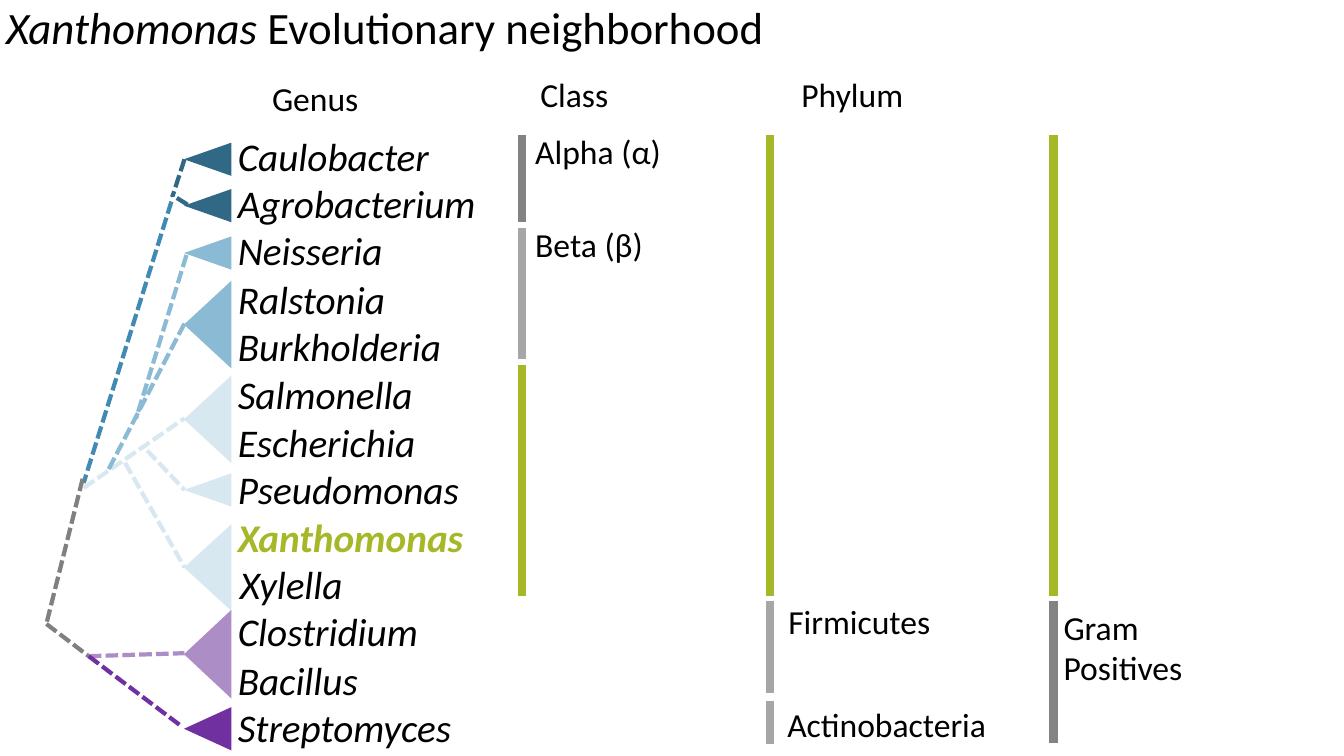
from dataclasses import dataclass

from lxml import etree
from pptx import Presentation
from pptx.dml.color import RGBColor
from pptx.enum.dml import MSO_LINE
from pptx.enum.shapes import MSO_CONNECTOR as Connector, MSO_SHAPE as Preset
from pptx.enum.text import MSO_ANCHOR as Anchor, MSO_AUTO_SIZE as AutoSize, PP_ALIGN as Align
from pptx.oxml.ns import qn
from pptx.util import Pt

EMU_PER_PX = 9144  # 100 px to the inch


@dataclass(frozen=True)
class Theme:
    font: str = "Calibri"
    title_size: int = 32
    genus_size: int = 28
    label_size: int = 24
    branch_width: int = 3
    bar_width: int = 6
    ink: str = "000000"
    highlight: str = "A6B727"
    alpha_dark: str = "316886"
    alpha: str = "418AB3"
    beta: str = "8ABAD4"
    gamma: str = "D8E8F1"
    firmicutes: str = "AD8DC5"
    actinobacteria: str = "7030A0"
    root: str = "808080"
    bar_dark: str = "838383"
    bar_light: str = "A6A6A6"


THEME = Theme()

GENERA = ["Caulobacter", "Agrobacterium", "Neisseria", "Ralstonia", "Burkholderia",
          "Salmonella", "Escherichia", "Pseudomonas", "Xanthomonas", "Xylella",
          "Clostridium", "Bacillus", "Streptomyces"]
GENUS_LEFT, GENUS_TOP, GENUS_BOTTOM = 226, 126, 693
CLADE_CENTER, CLADE_DEPTH = 206, 47

# Middle of each triangle, its span down the genus list, colour
CLADES = [
    (158, 33, THEME.alpha_dark), (204, 33, THEME.alpha_dark),
    (251, 33, THEME.beta), (322, 87, THEME.beta),
    (416, 87, THEME.gamma), (486, 33, THEME.gamma), (563, 86, THEME.gamma),
    (649, 88, THEME.firmicutes), (723, 43, THEME.actinobacteria),
]

# Start, end, colour of each dashed branch
BRANCHES = [
    ((170, 200), (83, 479), THEME.alpha),
    ((82, 475), (46, 619), THEME.root),
    ((46, 619), (88, 651), THEME.root),
    ((183, 158), (171, 195), THEME.alpha_dark),
    ((186, 203), (170, 193), THEME.alpha_dark),
    ((185, 253), (135, 415), THEME.beta),
    ((124, 459), (183, 563), THEME.gamma),
    ((83, 484), (183, 415), THEME.gamma),
    ((146, 447), (183, 486), THEME.gamma),
    ((183, 321), (107, 467), THEME.beta),
    ((88, 651), (183, 648), THEME.firmicutes),
    ((88, 651), (178, 719), THEME.actinobacteria),
]

# Column x, then top, bottom and colour of each bar in it
BAR_COLUMNS = {
    518: [(134, 220, THEME.bar_dark), (226, 356, THEME.bar_light),
          (362, 591, THEME.highlight)],
    764: [(134, 591, THEME.highlight), (596, 688, THEME.bar_light),
          (695, 738, THEME.bar_light)],
    1045: [(134, 591, THEME.highlight), (596, 737, THEME.bar_dark)],
}

# Left, top, width and lines of each heading or group label
LABELS = [
    (260, 72, 120, ["Genus"]), (526, 68, 101, ["Class"]), (785, 68, 134, ["Phylum"]),
    (521, 125, 159, ["Alpha (α)"]), (521, 217, 136, ["Beta (β)"]),
    (772, 591, 179, ["Firmicutes"]), (771, 693, 245, ["Actinobacteria"]),
    (1045, 597, 151, ["Gram", "Positives"]),
]


def px(length):
    return round(length * EMU_PER_PX)


def add_run(paragraph, text, size, color=THEME.ink, bold=False, italic=False):
    run = paragraph.add_run()
    run.text = text
    font = run.font
    font.name, font.size = THEME.font, Pt(size)
    font.bold, font.italic = bold, italic
    font.color.rgb = RGBColor.from_string(color)


def add_title(slide):
    title = slide.shapes.title
    title.left, title.top, title.width, title.height = px(-4), px(-5), px(1085), px(64)
    frame = title.text_frame
    frame.auto_size, frame.vertical_anchor = AutoSize.NONE, Anchor.TOP
    paragraph = frame.paragraphs[0]
    paragraph.alignment = Align.LEFT
    add_run(paragraph, "Xanthomonas ", THEME.title_size, italic=True)
    add_run(paragraph, "Evolutionary neighborhood", THEME.title_size)


def add_text(slide, left, top, width, height, lines, size, **style):
    frame = slide.shapes.add_textbox(px(left), px(top), px(width), px(height)).text_frame
    frame.word_wrap = True
    for index, line in enumerate(lines):
        paragraph = frame.add_paragraph() if index else frame.paragraphs[0]
        add_run(paragraph, line, size, **style)


def add_line(slide, start, end, color, width, dash=None):
    line = slide.shapes.add_connector(Connector.STRAIGHT, *map(px, start + end))
    line.line.color.rgb = RGBColor.from_string(color)
    line.line.width = Pt(width)
    if dash:
        line.line.dash_style = dash
    etree.SubElement(line._element.spPr, qn("a:effectLst"))


def add_clade(slide, middle, span, color):
    """A triangle pointing left towards the tree."""
    triangle = slide.shapes.add_shape(
        Preset.ISOSCELES_TRIANGLE, px(CLADE_CENTER - span / 2), px(middle - CLADE_DEPTH / 2),
        px(span), px(CLADE_DEPTH))
    triangle.rotation = 270
    triangle.shadow.inherit = False
    triangle.fill.solid()
    triangle.fill.fore_color.rgb = RGBColor.from_string(color)
    triangle.line.fill.background()


def add_genera(slide):
    step = (GENUS_BOTTOM - GENUS_TOP) / (len(GENERA) - 1)
    for row, genus in enumerate(GENERA):
        featured = genus == "Xanthomonas"
        left = GENUS_LEFT + (2 if genus == "Xylella" else 0)
        add_text(slide, left, round(GENUS_TOP + row * step), 285, 57, [genus],
                 THEME.genus_size, italic=True, bold=featured,
                 color=THEME.highlight if featured else THEME.ink)


def main():
    presentation = Presentation()
    presentation.slide_width, presentation.slide_height = px(1333), px(750)
    slide = presentation.slides.add_slide(presentation.slide_layouts[5])
    add_title(slide)

    # Evolutionary tree
    for middle, span, color in CLADES:
        add_clade(slide, middle, span, color)
    for start, end, color in BRANCHES:
        add_line(slide, start, end, color, THEME.branch_width, MSO_LINE.SQUARE_DOT)
    add_genera(slide)

    # Class, phylum and Gram groups
    for x, bars in BAR_COLUMNS.items():
        for top, bottom, color in bars:
            add_line(slide, (x, top), (x, bottom), color, THEME.bar_width)
    for left, top, width, lines in LABELS:
        add_text(slide, left, top, width, 10 + 40 * len(lines), lines, THEME.label_size)

    presentation.save("out.pptx")


if __name__ == "__main__":
    main()
